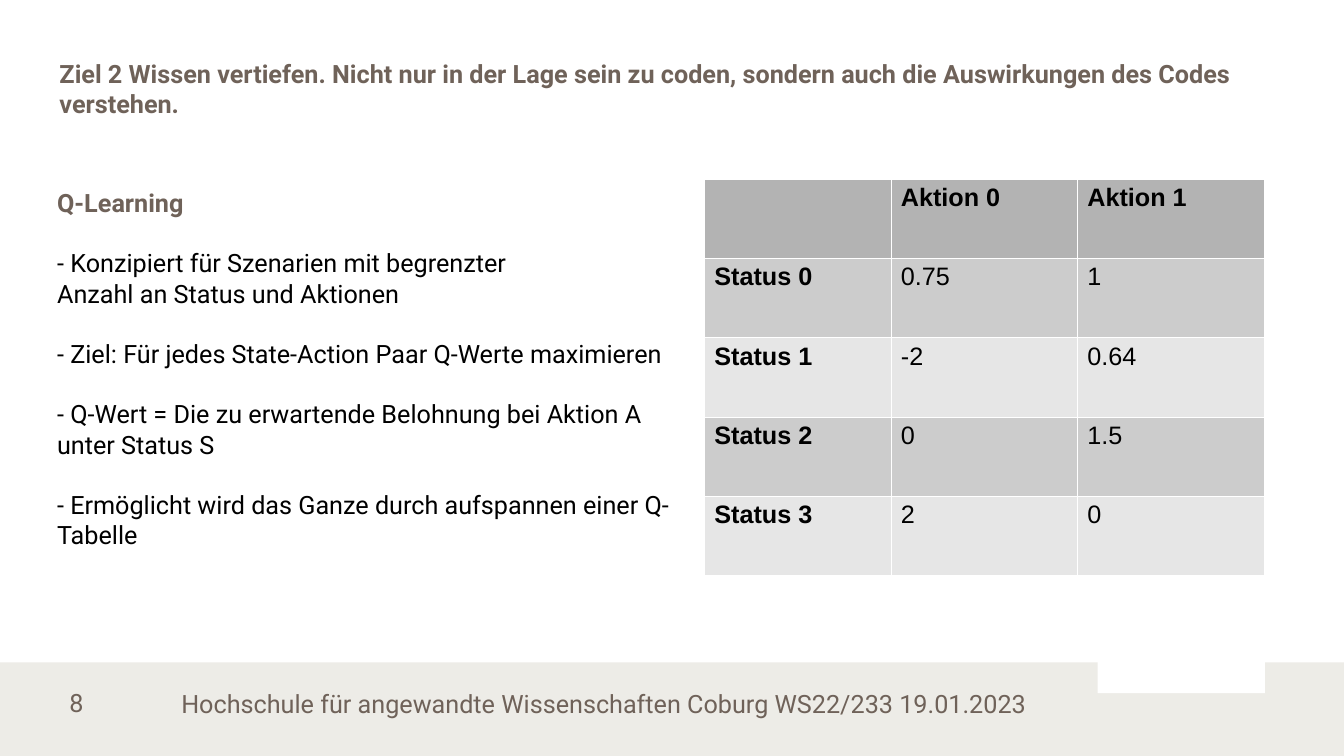
from lxml import etree
from pptx import Presentation
from pptx.dml.color import RGBColor
from pptx.enum import shapes, text
from pptx.oxml import ns
from pptx.util import Cm, Pt

WHITE = RGBColor(0xFF, 0xFF, 0xFF)
BLACK = RGBColor(0, 0, 0)
BROWN = RGBColor(0x6F, 0x62, 0x59)
SAND = RGBColor(0xED, 0xEC, 0xE7)
HEAD = RGBColor(0xB3, 0xB3, 0xB3)
DARK = RGBColor(0xCC, 0xCC, 0xCC)
LIGHT = RGBColor(0xE6, 0xE6, 0xE6)

TITLE = ("Ziel 2 Wissen vertiefen. Nicht nur in der Lage sein zu coden, "
         "sondern auch die Auswirkungen des Codes verstehen.")
FOOTER = "Hochschule für angewandte Wissenschaften Coburg WS22/233 19.01.2023"
POINTS = [
    ("- Konzipiert für Szenarien mit begrenzter", True),
    ("Anzahl an Status und Aktionen", False),
    ("- Ziel: Für jedes State-Action Paar Q-Werte maximieren", True),
    ("- Q-Wert = Die zu erwartende Belohnung bei Aktion A unter Status S", True),
    ("- Ermöglicht wird das Ganze durch aufspannen einer Q-Tabelle", True),
]
VALUES = [
    ("", "Aktion 0", "Aktion 1"),
    ("Status 0", "0.75", "1"),
    ("Status 1", "-2", "0.64"),
    ("Status 2", "0", "1.5"),
    ("Status 3", "2", "0"),
]


def style(para, color, bold=False, name="Roboto"):
    font = para.font
    font.name, font.size, font.bold = name, Pt(18), bold
    font.color.rgb = color


def add_block(slide, box, color):
    block = slide.shapes.add_shape(shapes.MSO_SHAPE.RECTANGLE, *map(Cm, box))
    block.shadow.inherit = False
    block.fill.solid()
    block.fill.fore_color.rgb = color
    block.line.fill.background()


def add_text(slide, box, words, bold=False, anchor=text.MSO_ANCHOR.MIDDLE):
    frame = slide.shapes.add_textbox(*map(Cm, box)).text_frame
    frame.word_wrap = True
    frame.vertical_anchor = anchor
    frame.text = words
    style(frame.paragraphs[0], BROWN, bold)
    return frame


def add_points(frame):
    for words, gap in POINTS:
        para = frame.add_paragraph()
        para.text = words
        para.space_before = Pt(21.5 if gap else 0)
        style(para, BLACK)


def add_border(cell):
    props = cell._tc.get_or_add_tcPr()
    for side in ("a:lnL", "a:lnR", "a:lnT", "a:lnB"):
        line = etree.SubElement(props, ns.qn(side), w=str(Pt(0.06)))
        fill = etree.SubElement(line, ns.qn("a:solidFill"))
        etree.SubElement(fill, ns.qn("a:srgbClr"), val=str(WHITE))


def add_grid(slide, box):
    size = len(VALUES), len(VALUES[0])
    table = slide.shapes.add_table(*size, *map(Cm, box)).table
    for r, row in enumerate(VALUES):
        shade = HEAD if r == 0 else DARK if r % 2 else LIGHT
        for c, value in enumerate(row):
            cell = table.cell(r, c)
            cell.text = value
            style(cell.text_frame.paragraphs[0], BLACK, r == 0 or c == 0, "Arial")
            add_border(cell)
            cell.fill.solid()
            cell.fill.fore_color.rgb = shade


def main():
    deck = Presentation()
    deck.slide_width, deck.slide_height = Cm(33.87), Cm(19.05)
    slide = deck.slides.add_slide(deck.slide_layouts[6])
    add_block(slide, (0, 16.69, 33.87, 2.36), SAND)
    add_block(slide, (27.66, 15.77, 4.22, 1.7), WHITE)
    add_text(slide, (1.5, 17.4, 2.29, 0.61), "8")
    title = add_text(slide, (1.5, 1.37, 30.99, 1.73), TITLE, True)
    title.margin_left = title.margin_right = 0
    title.margin_top = title.margin_bottom = 0
    body = add_text(slide, (1.19, 4.6, 16.21, 10.16), "Q-Learning", True,
                    text.MSO_ANCHOR.TOP)
    add_points(body)
    add_grid(slide, (17.75, 4.5, 14.1, 10))
    add_text(slide, (4.32, 17.42, 22.2, 0.61), FOOTER)
    deck.save("out.pptx")


if __name__ == "__main__":
    main()
